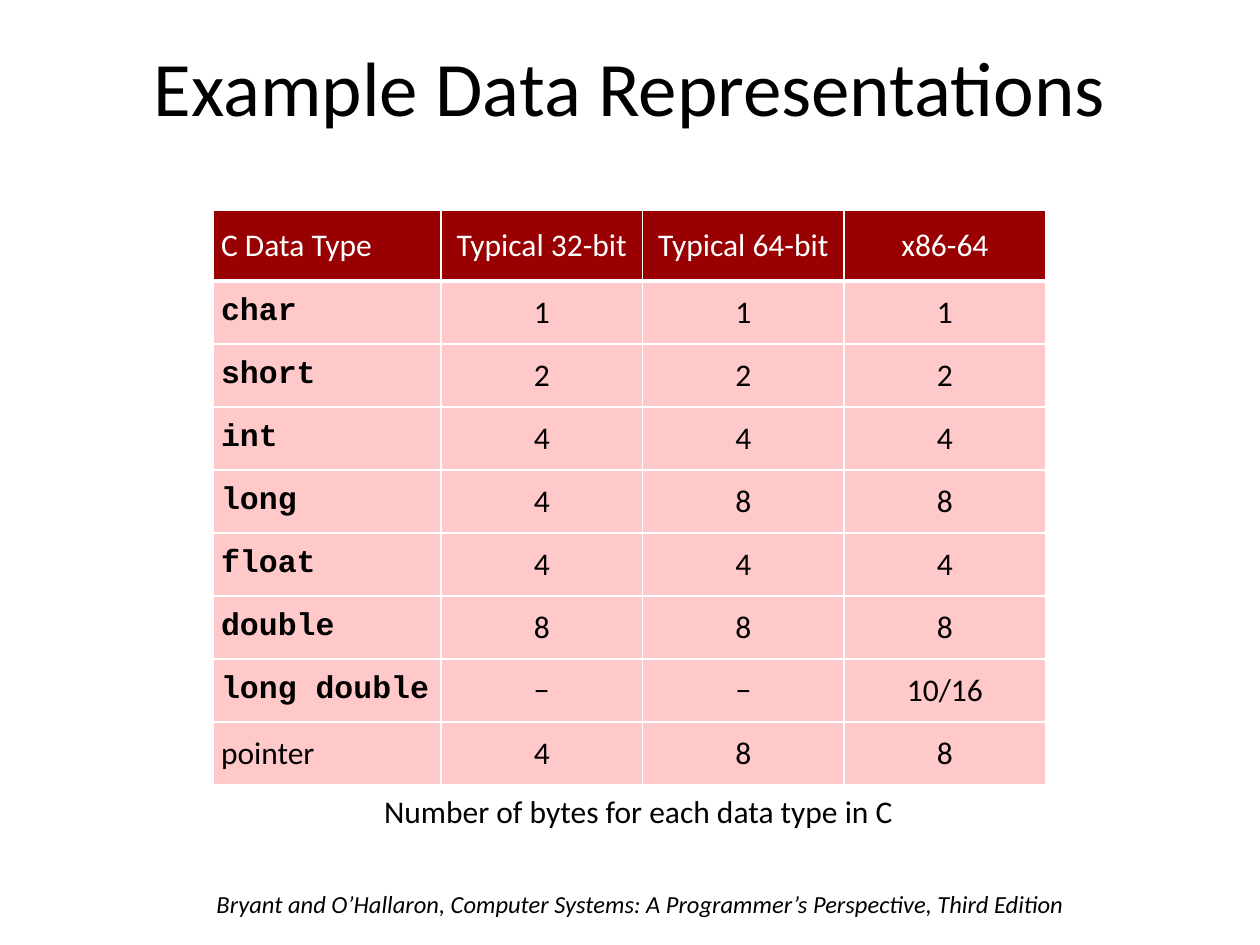
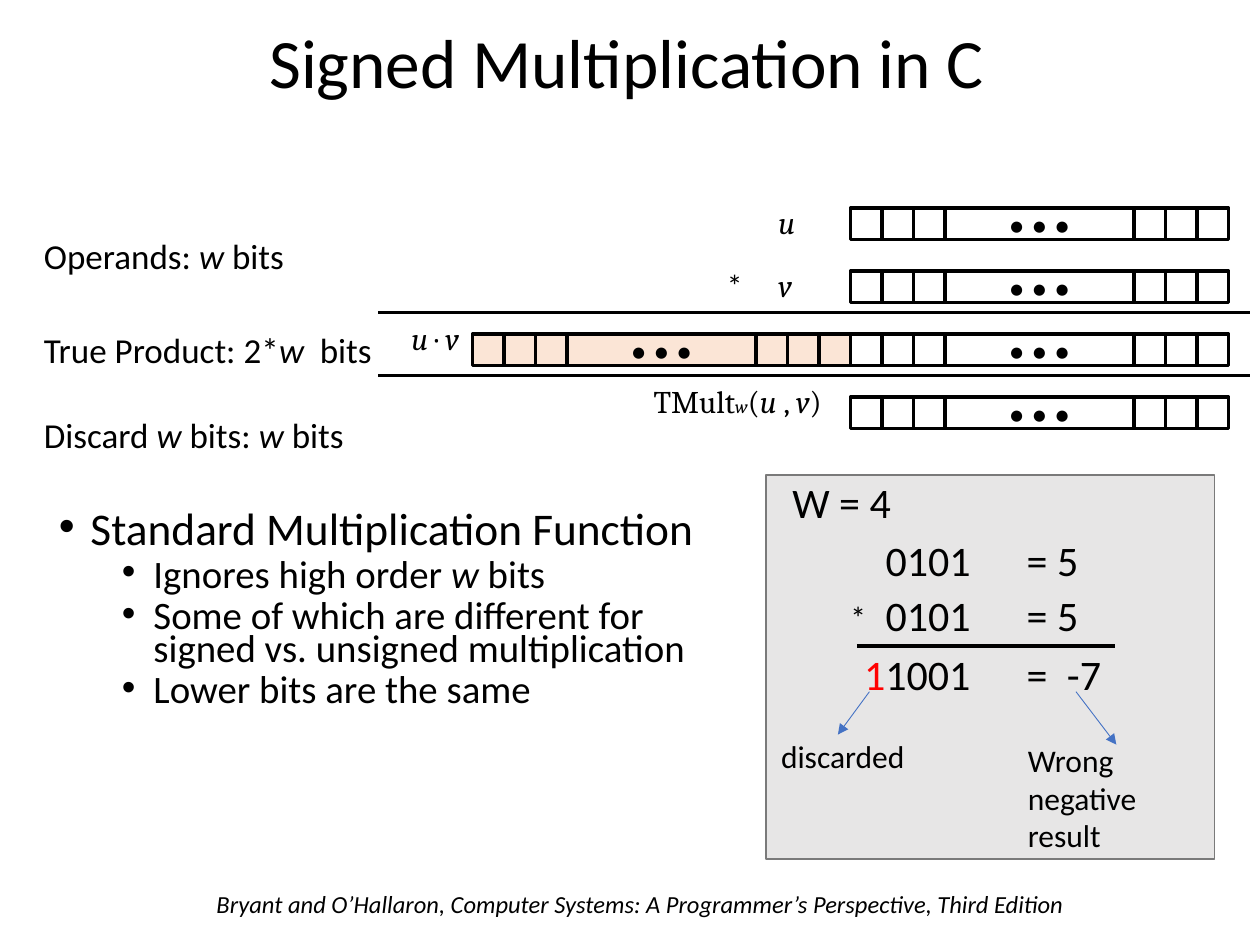
import pptx
import pptx.util
import pptx.dml.color
import pptx.enum.text
import pptx.enum.shapes
import pptx.oxml
import pptx.oxml.ns
import lxml.etree

COLS, ROWS = 40, 30
INK, PAPER = "000000", "FFFFFF"
DARK, PINK, PEACH = "980002", "FFC8C9", "FBE5D6"
GREY, EDGE, BLUE, RED = "E7E6E6", "7A7A7A", "4472C4", "FF0000"
SANS, SERIF, MONO = "Calibri", "Cambria", "Courier New"
ALIGN = {"l": pptx.enum.text.PP_ALIGN.LEFT,
         "c": pptx.enum.text.PP_ALIGN.CENTER,
         "r": pptx.enum.text.PP_ALIGN.RIGHT}
MIDDLE = pptx.enum.text.MSO_ANCHOR.MIDDLE
FIT = pptx.enum.text.MSO_AUTO_SIZE
RECT = pptx.enum.shapes.MSO_SHAPE.RECTANGLE
LINE = pptx.enum.shapes.MSO_CONNECTOR.STRAIGHT
ITALIC = {"italic": True}


def color(code):
    return pptx.dml.color.RGBColor.from_string(code)


def add(root, tag, **attrs):
    """Append a drawing element and return it."""
    node = lxml.etree.SubElement(root, pptx.oxml.ns.qn("a:" + tag))
    for key, val in attrs.items():
        node.set(key, str(val))
    return node


def write(para, runs, size=18, font=SANS, ink=INK, bold=False, italic=False,
          base=0, align="l", space=None, before=0, bullet=None, tabs=()):
    """Fill a paragraph; runs are strings or (string, format) pairs."""
    props = para._p.get_or_add_pPr()
    if bullet:
        props.set("marL", str(pptx.util.Inches(bullet)))
        props.set("indent", str(pptx.util.Inches(-0.25)))
        add(props, "buFont", typeface="Arial")
        add(props, "buChar", char="•")
    if tabs:
        stops = add(props, "tabLst")
        for stop in tabs:
            add(stops, "tab", pos=pptx.util.Inches(stop), algn="l")
    para.alignment = ALIGN[align]
    if space:
        para.line_spacing = space
    para.space_before = pptx.util.Pt(before)
    for part in [runs] if isinstance(runs, str) else runs:
        words, own = (part, {}) if isinstance(part, str) else part
        run = para.add_run()
        run.text = words
        run.font.size = pptx.util.Pt(own.get("size", size))
        run.font.name = own.get("font", font)
        run.font.bold = own.get("bold", bold)
        run.font.italic = own.get("italic", italic)
        run.font.color.rgb = color(own.get("ink", ink))
        if own.get("base", base):
            run.font._element.set("baseline", str(own.get("base", base)))


class Deck:
    """Holds the style and the current slide; lengths are grid cells."""

    def __init__(self):
        self.prs = pptx.Presentation()
        self.prs.slide_width = pptx.util.Inches(10)
        self.prs.slide_height = pptx.util.Inches(7.5)
        self.layout = self.prs.slide_layouts[5]
        self.slide = None

    def x(self, cols):
        return round(self.prs.slide_width * cols / COLS)

    def y(self, rows):
        return round(self.prs.slide_height * rows / ROWS)

    def place(self, col, row, wide, high):
        return self.x(col), self.y(row), self.x(wide), self.y(high)

    def start(self, title, spot, size):
        self.slide = self.prs.slides.add_slide(self.layout)
        head = self.slide.shapes.title
        head.left, head.top, head.width, head.height = self.place(*spot)
        frame = head.text_frame
        frame.auto_size = FIT.NONE
        frame.vertical_anchor = MIDDLE
        write(frame.paragraphs[0], title, size=size, align="c", space=0.9)

    def text(self, spot, runs, wrap=False, **style):
        box = self.slide.shapes.add_textbox(*self.place(*spot))
        box.text_frame.word_wrap = wrap
        box.text_frame.auto_size = FIT.SHAPE_TO_FIT_TEXT
        write(box.text_frame.paragraphs[0], runs, **style)
        return box

    def footer(self, spot, words):
        """Set the shared credit line on the layout."""
        box = self.text(spot, words, wrap=True, size=14, italic=True)
        box.element.xpath("./p:nvSpPr/p:cNvPr")[0].set("id", "20")
        self.layout.shapes.element.append(box.element)

    def points(self, spot, items):
        box = self.slide.shapes.add_textbox(*self.place(*spot))
        frame = box.text_frame
        frame.word_wrap = True
        for n, (level, runs) in enumerate(items):
            para = frame.add_paragraph() if n else frame.paragraphs[0]
            para.level = level
            write(para, runs, size=22.2 if level else 25.9, space=0.7,
                  before=5 if n else 0, bullet=0.75 if level else 0.25)

    def rect(self, spot, fill, edge=INK, width=2, home=None):
        shape = (home or self.slide).shapes.add_shape(RECT, *self.place(*spot))
        shape.shadow.inherit = False
        shape.fill.solid()
        shape.fill.fore_color.rgb = color(fill)
        shape.line.color.rgb = color(edge)
        shape.line.width = pptx.util.Pt(width)
        return shape

    def word(self, col, row, fill=PAPER):
        """Draw a machine word: three bits, a gap of dots, three bits."""
        group = self.slide.shapes.add_group_shape()
        for step in (0, 1, 2, 9, 10, 11):
            self.rect((col + step, row, 1, 1), fill, home=group)
        gap = self.rect((col + 3, row, 6, 1), fill, home=group)
        gap.text_frame.word_wrap = False
        gap.text_frame.vertical_anchor = MIDDLE
        write(gap.text_frame.paragraphs[0], "• • •", align="c")

    def line(self, start, end, ink=INK, width=2, arrow=False):
        rule = self.slide.shapes.add_connector(
            LINE, self.x(start[0]), self.y(start[1]),
            self.x(end[0]), self.y(end[1]))
        rule.line.color.rgb = color(ink)
        rule.line.width = pptx.util.Pt(width)
        if arrow:
            add(rule.line._get_or_add_ln(), "tailEnd", type="triangle")
        add(rule._element.spPr, "effectLst")

    def cell(self, cell, words, fill, edges, **style):
        """Format one table cell; edges are left, right, top, bottom."""
        props = cell._tc.get_or_add_tcPr()
        for side, width in zip("LRTB", edges):
            rule = add(props, "ln" + side, w=pptx.util.Pt(width))
            add(add(rule, "solidFill"), "srgbClr", val=PAPER)
        cell.fill.solid()
        cell.fill.fore_color.rgb = color(fill)
        cell.vertical_anchor = MIDDLE
        cell.margin_left = cell.margin_right = pptx.util.Inches(0.06)
        cell.margin_top = cell.margin_bottom = pptx.util.Inches(0.06)
        write(cell.text_frame.paragraphs[0], words, **style)

    def table(self, spot, data, wides, highs):
        grid = self.slide.shapes.add_table(
            len(data), len(data[0]), *self.place(*spot)).table
        grid.horz_banding = False
        for col, wide in zip(grid.columns, wides):
            col.width = self.x(wide)
        for r, (row, high) in enumerate(zip(data, highs)):
            grid.rows[r].height = self.y(high)
            edges = (1, 1, 3 if r == 1 else 1, 1 if r else 3)
            for c, words in enumerate(row):
                code = c == 0 and r > 0 and words != "pointer"
                self.cell(grid.cell(r, c), words, PINK if r else DARK, edges,
                          ink=INK if r else PAPER, bold=code,
                          font=MONO if code else SANS,
                          align="c" if c else "l")


def sizes(deck):
    deck.start("Example Data Representations", (0, 0, 40, 5.8), 44)
    deck.footer((6.48, 28.04, 28.4, 1.36),
                "Bryant and O’Hallaron, Computer Systems: "
                "A Programmer’s Perspective, Third Edition")
    data = [
        ("C Data Type", "Typical 32-bit", "Typical 64-bit", "x86-64"),
        ("char", "1", "1", "1"),
        ("short", "2", "2", "2"),
        ("int", "4", "4", "4"),
        ("long", "4", "8", "8"),
        ("float", "4", "4", "4"),
        ("double", "8", "8", "8"),
        ("long double", "−", "−", "10/16"),
        ("pointer", "4", "8", "8"),
    ]
    deck.table((6.78, 6.68, 26.4, 18.24), data,
               [7.22] + [6.4] * 3, [2.24] + [2] * 8)
    deck.text((11.8, 24.96, 17.16, 1.6),
              "Number of bytes for each data type in C")


def product(deck):
    w, u, v = ("w", ITALIC), ("u", ITALIC), ("v", ITALIC)
    deck.start("Signed Multiplication in C", (3.08, 0.88, 33.64, 2.44), 39.6)
    deck.points((1.48, 16.16, 22.52, 7.2), [
        (0, "Standard Multiplication Function"),
        (1, ["Ignores high order ", w, " bits"]),
        (1, "Some of which are different for signed vs. "
            "unsigned multiplication"),
        (1, "Lower bits are the same"),
    ])

    # Words of the operands, the product and the result
    for n in range(4):
        deck.word(27, 6.6 + 2 * n)
    deck.word(15, 10.6, PEACH)
    for row in (9.92, 11.92):
        deck.line((12, row), (39.68, row))

    # Labels beside the words
    deck.text((24.32, 6.24, 1.32, 1.6), [u], font=SERIF)
    deck.text((24.32, 8.24, 1.24, 1.6), [v], font=SERIF)
    deck.text((22.68, 8.24, 1.4, 1.6), "*")
    deck.text((12.48, 9.92, 2.48, 1.6), [("u ", ITALIC), "· ", v],
              font=SERIF, align="r")
    deck.text((20.32, 11.92, 6.16, 1.6),
              ["TMult", ("w", {"italic": True, "base": -25}),
               "(", u, " , ", v, ")"], font=SERIF, align="r")
    deck.text((1, 7.24, 8.52, 1.76), ["Operands: ", w, " bits"], size=20)
    deck.text((1, 10.24, 11.32, 1.76), ["True Product: 2*", w, "\tbits"],
              wrap=True, size=20, tabs=[2.19])
    deck.text((1, 12.92, 10.68, 1.76), ["Discard ", w, " bits: ", w, " bits"],
              wrap=True, size=20)

    # Worked example with four bits
    deck.rect((24.32, 15.08, 14.24, 12.2), GREY, EDGE, 1)
    deck.text((24.76, 14.92, 3.96, 2), "W = 4", size=24)
    for row in (16.76, 18.52):
        deck.text((27.72, row, 8, 2), "0101\t= 5", wrap=True, size=24,
                  tabs=[1.12])
    deck.text((26.6, 18.8, 1.32, 1.6), "*")
    deck.line((27.2, 20.52), (35.4, 20.52), width=2.25)
    deck.text((27.04, 20.4, 9, 2), [("1", {"ink": RED}), "1001\t=\t-7"],
              wrap=True, size=24, tabs=[1.29, 1.61])
    deck.line((27.6, 21.96), (26.6, 23.32), BLUE, 0.5, arrow=True)
    deck.text((24.4, 23.2, 4.76, 1.6), "discarded")
    deck.line((34.16, 21.96), (35.44, 23.64), BLUE, 0.5, arrow=True)
    deck.text((32.24, 23.32, 6.4, 4.04), "Wrong negative result", wrap=True)


def main():
    deck = Deck()
    sizes(deck)
    product(deck)
    deck.prs.save("out.pptx")


if __name__ == "__main__":
    main()
